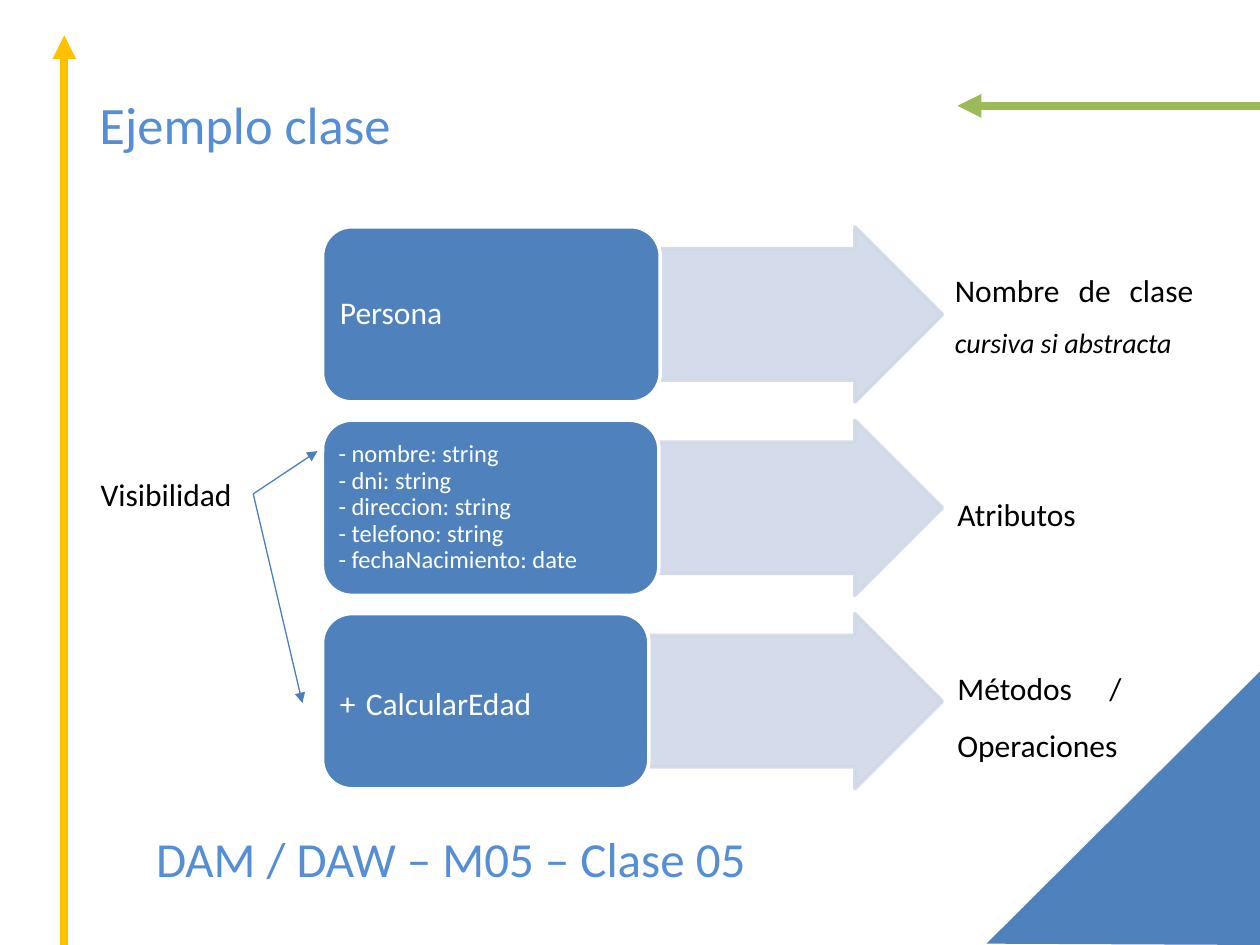
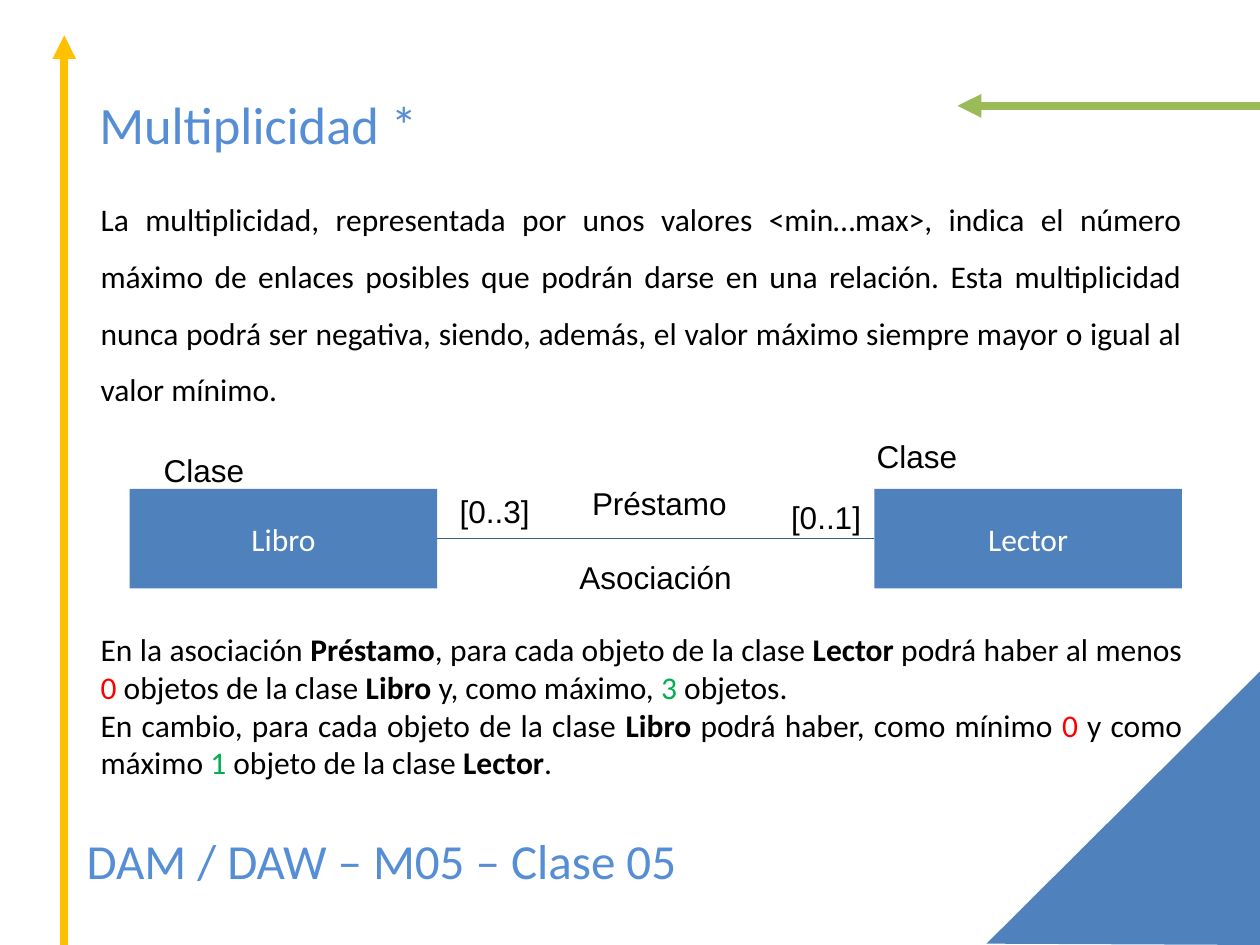
import pptx
import pptx.util
import pptx.dml.color
import pptx.enum.dml
import pptx.enum.shapes
import pptx.enum.text
import pptx.oxml.ns
import lxml.etree

RGBColor = pptx.dml.color.RGBColor
BLUE = RGBColor(0x4F, 0x81, 0xBD)
TITLE_BLUE = RGBColor(0x55, 0x8E, 0xD5)
PALE_BLUE = RGBColor(0xD0, 0xD8, 0xE8)
POINTER_BLUE = RGBColor(0x4B, 0x7E, 0xBC)
LINK_BLUE = RGBColor(0x3A, 0x5F, 0x8C)
YELLOW = RGBColor(0xFF, 0xC0, 0x00)
LIME = RGBColor(0x9B, 0xBB, 0x59)
RED = RGBColor(0xFF, 0x00, 0x00)
GREEN = RGBColor(0x00, 0xB0, 0x50)
BLACK = RGBColor(0x00, 0x00, 0x00)
WHITE = RGBColor(0xFF, 0xFF, 0xFF)

SHAPE = pptx.enum.shapes.MSO_SHAPE
ALIGN = pptx.enum.text.PP_ALIGN
ANCHOR = pptx.enum.text.MSO_ANCHOR
qn = pptx.oxml.ns.qn

deck = pptx.Presentation()
deck.slide_width = pptx.util.Inches(10)
deck.slide_height = pptx.util.Inches(7.5)
COLUMN = deck.slide_width / 100
ROW = deck.slide_height / 75


def write(text, page=None, place=None, box=None, size=18, font="Calibri", color=BLACK,
          align=ALIGN.LEFT, anchor=ANCHOR.TOP, spacing=1.0, wrap=True, inset=(1, 0.5)):
    if box is None:
        left, top, width, height = place
        box = page.shapes.add_textbox(int(left * COLUMN), int(top * ROW),
                                      int(width * COLUMN), int(height * ROW))
    frame = box.text_frame
    frame.word_wrap = wrap
    frame.vertical_anchor = anchor
    frame.margin_left = frame.margin_right = int(inset[0] * COLUMN)
    frame.margin_top = frame.margin_bottom = int(inset[1] * ROW)
    paragraphs = [[(text, {})]] if isinstance(text, str) else text
    for index, spans in enumerate(paragraphs):
        para = frame.add_paragraph() if index else frame.paragraphs[0]
        para.alignment = align
        para.line_spacing = spacing
        for words, style in spans:
            for number, line in enumerate(words.split("\n")):
                if number:
                    para.add_line_break()
                span = para.add_run()
                span.text = line
                span.font.name = font
                span.font.size = pptx.util.Pt(style.get("size", size))
                span.font.color.rgb = style.get("color", color)
                span.font.bold = style.get("bold", False)
                span.font.italic = style.get("italic", False)


def draw_line(page, start, end, color, weight, arrow=True):
    line = page.shapes.add_connector(
        pptx.enum.shapes.MSO_CONNECTOR.STRAIGHT,
        int(start[0] * COLUMN), int(start[1] * ROW), int(end[0] * COLUMN), int(end[1] * ROW))
    line.line.color.rgb = color
    line.line.width = pptx.util.Pt(weight)
    if arrow:
        lxml.etree.SubElement(line.line._get_or_add_ln(), qn("a:tailEnd"), type="triangle")
    lxml.etree.SubElement(line._element.spPr, qn("a:effectLst"))
    return line


pages = []
for title, footer_left, footer_top in [("Ejemplo clase", 11.4, 65.3), ("Multiplicidad *", 5.9, 65.4)]:
    page = deck.slides.add_slide(deck.slide_layouts[6])
    draw_line(page, (5.1, 75), (5.1, 2.8), YELLOW, 4.5)
    draw_line(page, (100, 8.4), (76, 8.4), LIME, 4.5)
    outline = page.shapes.build_freeform(int(78.3 * COLUMN), int(74.9 * ROW))
    outline.add_line_segments([(int(100 * COLUMN), int(53.3 * ROW)),
                               (int(100 * COLUMN), int(75 * ROW))], close=True)
    corner = outline.convert_to_shape()
    corner.shadow.inherit = False
    corner.fill.solid()
    corner.fill.fore_color.rgb = BLUE
    corner.line.fill.background()
    write(title, page, (6.9, 6.8, 90.4, 8.6), size=30, color=TITLE_BLUE)
    write("DAM / DAW – M05 – Clase 05", page, (footer_left, footer_top, 55.7, 5.8),
          size=28, color=TITLE_BLUE)
    pages.append(page)

class_page, multiplicity_page = pages

attributes = "\n".join(["- nombre: string", "- dni: string", "- direccion: string",
                        "- telefono: string", "- fechaNacimiento: date"])
members = [
    ("Persona", 18, 26.8, (0.7, 0.4)),
    (attributes, 14, 26.7, (0.6, 0.3)),
    ([[("+", {}), (" ", {"size": 26}), ("CalcularEdad", {})]], 18, 25.9, (0.7, 0.4)),
]
MEMBER_LEFT, MEMBER_TOP, MEMBER_HEIGHT, MEMBER_STEP, ARROW_TIP = 25.6, 18, 13.9, 15.35, 74.8
for index, (text, size, width, inset) in enumerate(members):
    top = MEMBER_TOP + index * MEMBER_STEP
    box_right = MEMBER_LEFT + width
    arrow = class_page.shapes.add_shape(
        SHAPE.RIGHT_ARROW, int(box_right * COLUMN), int(top * ROW),
        int((ARROW_TIP - box_right) * COLUMN), int(MEMBER_HEIGHT * ROW))
    arrow.adjustments[0] = 0.75
    arrow.adjustments[1] = 0.5
    box = class_page.shapes.add_shape(
        SHAPE.ROUNDED_RECTANGLE, int(MEMBER_LEFT * COLUMN), int(top * ROW),
        int(width * COLUMN), int(MEMBER_HEIGHT * ROW))
    for shape, fill, border in [(arrow, PALE_BLUE, PALE_BLUE), (box, BLUE, WHITE)]:
        shape.shadow.inherit = False
        shape.fill.solid()
        shape.fill.fore_color.rgb = fill
        shape.line.color.rgb = border
        shape.line.width = pptx.util.Pt(2)
    for color in arrow._element.spPr.iter(qn("a:srgbClr")):
        lxml.etree.SubElement(color, qn("a:alpha"), val="90000")
    write(text, box=box, size=size, color=WHITE, anchor=ANCHOR.MIDDLE, spacing=0.9, inset=inset)

captions = [
    ([[("Nombre de clase\n", {}), ("cursiva si abstracta", {"size": 16, "italic": True})]],
     (74.8, 19.5, 20.9, 9.2)),
    ("Atributos", (75, 37.3, 14.2, 5.1)),
    ("Métodos / Operaciones", (75, 51.1, 15, 9.6)),
]
for text, place in captions:
    write(text, class_page, place, align=ALIGN.JUSTIFY, spacing=1.5)

write("Visibilidad", class_page, (7, 37.2, 13, 4))
for target in [(25.2, 35.8), (24, 55.8)]:
    draw_line(class_page, (20.1, 39.2), target, POINTER_BLUE, 0.75)

write("La multiplicidad, representada por unos valores <min…max>, indica el número máximo de "
      "enlaces posibles que podrán darse en una relación. Esta multiplicidad nunca podrá ser "
      "negativa, siendo, además, el valor máximo siempre mayor o igual al valor mínimo.",
      multiplicity_page, (7, 13.9, 87.8, 18.7), align=ALIGN.JUSTIFY, spacing=1.5)

class_boxes = []
for name, left in [("Libro", 10.3), ("Lector", 69.4)]:
    box = multiplicity_page.shapes.add_shape(
        SHAPE.RECTANGLE, int(left * COLUMN), int(38.8 * ROW), int(24.4 * COLUMN), int(7.9 * ROW))
    box.shadow.inherit = False
    box.fill.solid()
    box.fill.fore_color.rgb = BLUE
    box.line.fill.background()
    write(name, box=box, color=WHITE, align=ALIGN.CENTER, anchor=ANCHOR.MIDDLE)
    class_boxes.append(box)

association = draw_line(multiplicity_page, (34.7, 42.75), (69.4, 42.75), LINK_BLUE, 0.75, arrow=False)
association.begin_connect(class_boxes[0], 3)
association.end_connect(class_boxes[1], 1)

for label, left, top, width in [
    ("[0..3]", 35.5, 38.6, 7.6),
    ("Clase", 68.6, 34.2, 8.5),
    ("Clase", 12, 35.3, 8.5),
    ("[0..1]", 61.8, 39, 7.6),
    ("Préstamo", 46, 37.9, 12.8),
    ("Asociación", 45, 43.8, 14.2),
]:
    write(label, multiplicity_page, (left, top, width, 4), font="Arial", wrap=False)

BOLD, MINIMUM, MAXIMUM = {"bold": True}, {"color": RED}, {"color": GREEN}
write([
    [("En la asociación ", {}), ("Préstamo", BOLD), (", para cada objeto de la clase ", {}),
     ("Lector", BOLD), (" podrá haber al menos ", {}), ("0", MINIMUM),
     (" objetos de la clase ", {}), ("Libro", BOLD), (" y, como máximo, ", {}),
     ("3", MAXIMUM), (" objetos.", {})],
    [("En cambio, para cada objeto de la clase ", {}), ("Libro", BOLD),
     (" podrá haber, como mínimo ", {}), ("0", MINIMUM), (" y como máximo ", {}),
     ("1", MAXIMUM), (" objeto de la clase ", {}), ("Lector", BOLD), (".", {})],
], multiplicity_page, (7, 49.5, 87.8, 13.1), align=ALIGN.JUSTIFY)

deck.save("out.pptx")
